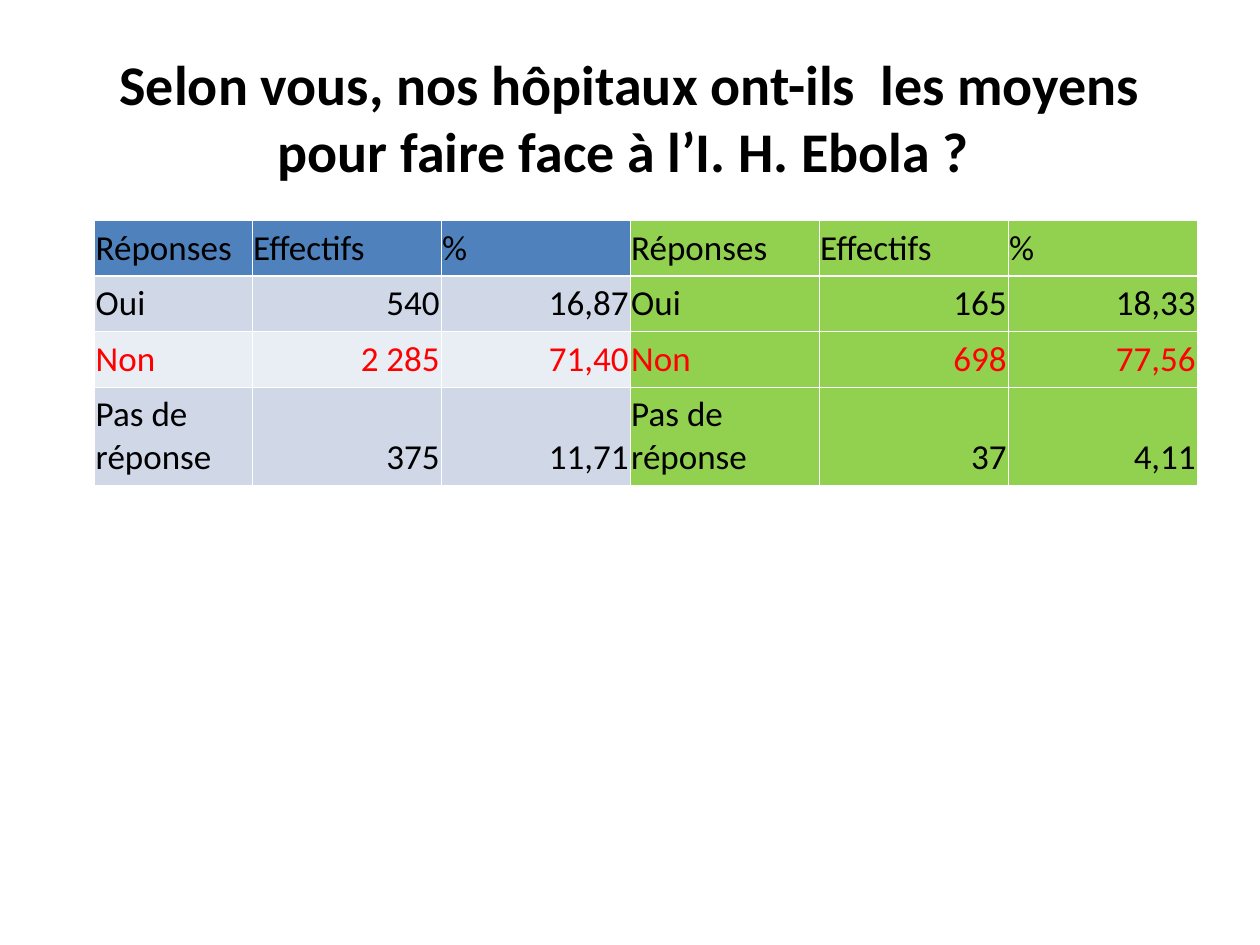
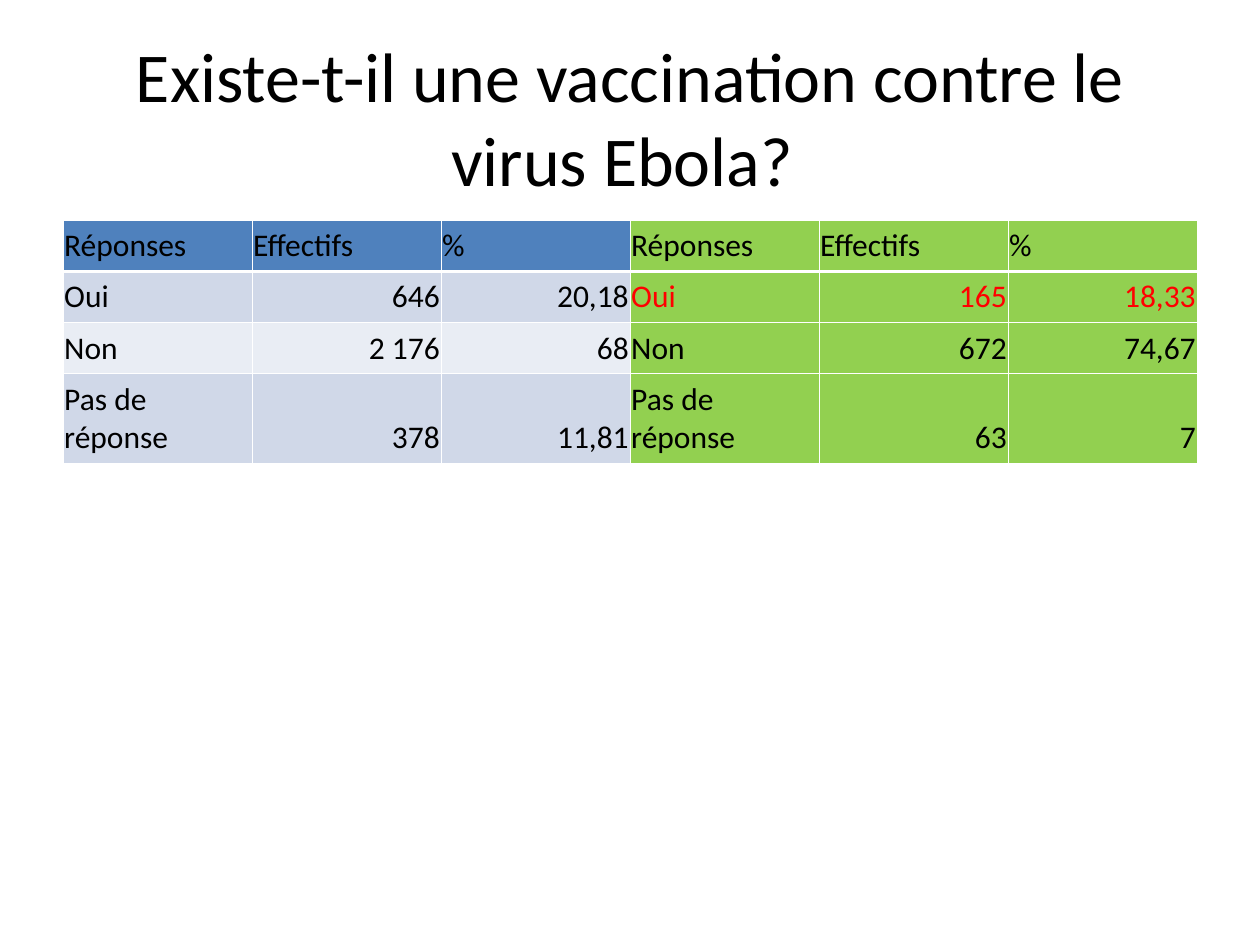
from dataclasses import dataclass

from lxml.etree import SubElement as Sub
from pptx import Presentation
from pptx.dml.color import RGBColor as Rgb
from pptx.enum.text import MSO_ANCHOR as Anchor, MSO_AUTO_SIZE as Fit, PP_ALIGN as Align
from pptx.oxml.ns import qn
from pptx.slide import Slide as Page
from pptx.table import _Cell as Cell
from pptx.util import Inches, Pt

# Shared look
FONT = "Calibri"
HUES = {
    "text": "000000",
    "alert": "FF0000",
    "line": "FFFFFF",
    "head": "4F81BD",
    "odd": "D0D8E8",
    "even": "E9EDF4",
    "green": "92D050",
}
HEADS = ("Réponses", "Effectifs", "%")
LABELS = ("Oui", "Non", "Pas de réponse")
HALF = len(HEADS)
COL, ROW, TOP, RIGHT = 1.5, 0.4, 1.75, 9.5
THIN, THICK = 0.45, 1.47


@dataclass
class Survey:
    title: str
    size: int
    bold: bool
    first: float  # width of the first column
    last: float  # height of the last row
    font: int
    left: list[tuple[str, str]]
    right: list[tuple[str, str]]
    alerts: set[tuple[int, int]]  # (row, half) shown in red


SURVEYS = [
    Survey(
        "Selon vous, nos hôpitaux ont-ils  les moyens pour faire face à l’I. H. Ebola ? ",
        32, True, 1.25, 0.69, 20,
        [("540", "16,87"), ("2 285", "71,40"), ("375", "11,71")],
        [("165", "18,33"), ("698", "77,56"), ("37", "4,11")],
        {(2, 0), (2, 1)},
    ),
    Survey(
        "Existe-t-il une vaccination contre le virus Ebola? ",
        40, False, 1.5, 0.62, 18,
        [("646", "20,18"), ("2 176", "68"), ("378", "11,81")],
        [("165", "18,33"), ("672", "74,67"), ("63", "7")],
        {(1, 1)},
    ),
]


def add_run(para, text: str, size: int, hue: str, bold: bool = False) -> None:
    run = para.add_run()
    run.text = text
    font = run.font
    font.name, font.size, font.bold = FONT, Pt(size), bold
    font.color.rgb = Rgb.from_string(HUES[hue])


def add_title(page: Page, survey: Survey) -> None:
    title = page.shapes.title
    title.left, title.top = Inches(0.5), Inches(0.3)
    title.width, title.height = Inches(9), Inches(1.25)
    frame = title.text_frame
    frame.auto_size = Fit.NONE
    frame.word_wrap = True
    frame.vertical_anchor = Anchor.MIDDLE
    para = frame.paragraphs[0]
    para.alignment = Align.CENTER
    add_run(para, survey.title, survey.size, "text", survey.bold)


def set_lines(cell: Cell, row: int) -> None:
    """White edges, with a thick rule between header and body."""
    props = cell._tc.get_or_add_tcPr()
    widths = {
        "L": THIN,
        "R": THIN,
        "T": THICK if row == 1 else THIN,
        "B": THICK if row == 0 else THIN,
    }
    for spot, (side, width) in enumerate(widths.items()):
        line = Sub(props, qn(f"a:ln{side}"), w=str(Pt(width)))
        fill = Sub(line, qn("a:solidFill"))
        Sub(fill, qn("a:srgbClr"), val=HUES["line"])
        props.insert(spot, line)


def fill_hue(row: int, half: int) -> str:
    if half:
        return "green"
    if row == 0:
        return "head"
    return "odd" if row % 2 else "even"


def add_grid(page: Page, survey: Survey) -> None:
    body = zip(LABELS, survey.left, survey.right)
    rows = [HEADS * 2] + [(label, *a, label, *b) for label, a, b in body]
    widths = [survey.first] + [COL] * (2 * HALF - 1)
    heights = [ROW] * HALF + [survey.last]
    wide = sum(widths)
    table = page.shapes.add_table(
        len(rows), len(widths), Inches(RIGHT - wide), Inches(TOP),
        Inches(wide), Inches(sum(heights)),
    ).table
    table.first_row = table.horz_banding = False
    for column, width in zip(table.columns, widths):
        column.width = Inches(width)
    for line, height in zip(table.rows, heights):
        line.height = Inches(height)

    for row, texts in enumerate(rows):
        for col, text in enumerate(texts):
            half, part = divmod(col, HALF)
            cell = table.cell(row, col)
            cell.margin_left = cell.margin_right = Inches(0.01)
            cell.margin_top = cell.margin_bottom = Inches(0.05)
            cell.vertical_anchor = Anchor.BOTTOM
            cell.fill.solid()
            cell.fill.fore_color.rgb = Rgb.from_string(HUES[fill_hue(row, half)])
            set_lines(cell, row)
            para = cell.text_frame.paragraphs[0]
            para.alignment = Align.RIGHT if row and part else Align.LEFT
            hue = "alert" if (row, half) in survey.alerts else "text"
            add_run(para, text, survey.font, hue)


def main() -> None:
    deck = Presentation()
    deck.slide_width, deck.slide_height = Inches(10), Inches(7.5)
    layout = deck.slide_layouts.get_by_name("Title Only")
    for survey in SURVEYS:
        page = deck.slides.add_slide(layout)
        add_title(page, survey)
        add_grid(page, survey)
    deck.save("out.pptx")


if __name__ == "__main__":
    main()
